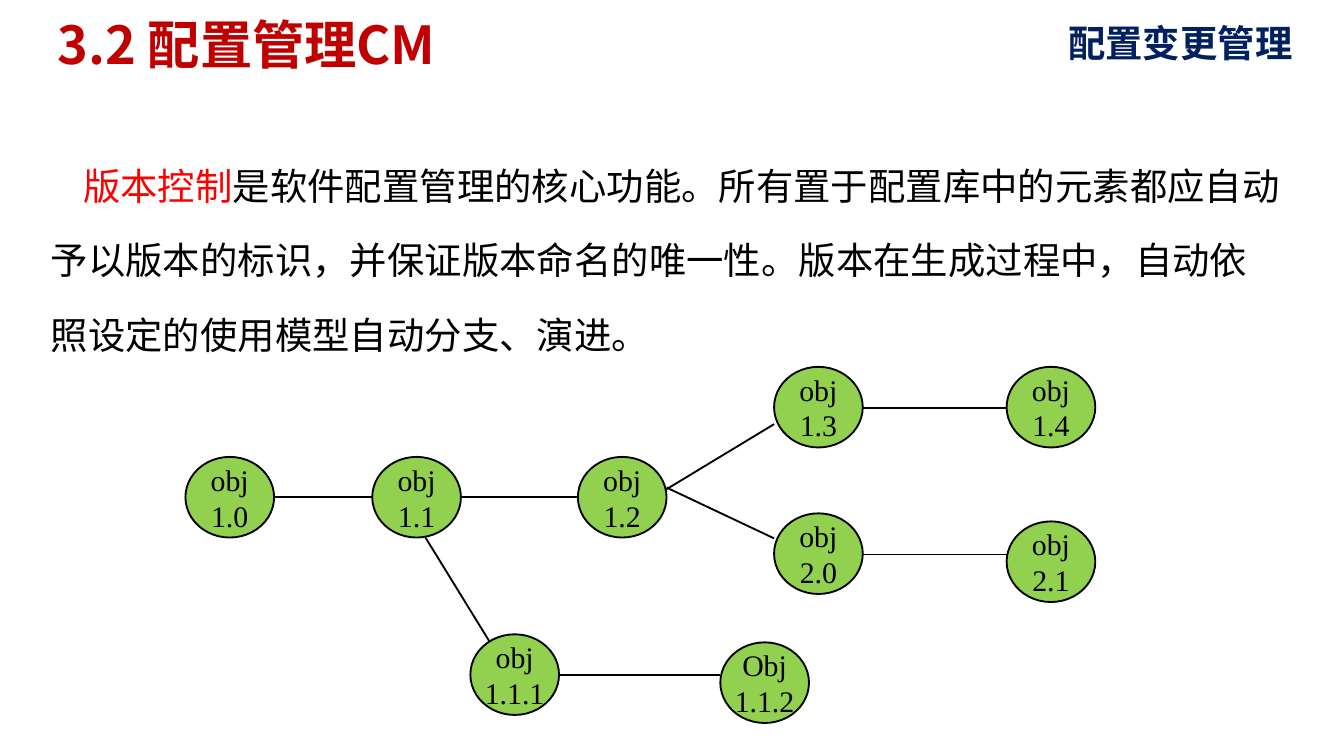
"""Build the version control slide with its object evolution tree."""
from lxml import etree
from pptx import Presentation
from pptx.dml.color import RGBColor
from pptx.enum.shapes import MSO_CONNECTOR, MSO_SHAPE
from pptx.enum.text import MSO_ANCHOR, PP_ALIGN
from pptx.oxml.ns import qn
from pptx.util import Inches, Pt

ELLIPSE, RECTANGLE = MSO_SHAPE.OVAL, MSO_SHAPE.RECTANGLE
STRAIGHT = MSO_CONNECTOR.STRAIGHT
CENTER, LEFT = PP_ALIGN.CENTER, PP_ALIGN.LEFT
MIDDLE, TOP = MSO_ANCHOR.MIDDLE, MSO_ANCHOR.TOP
SANS, SERIF = "Noto Sans CJK SC", "Times New Roman"
BLACK, WHITE, GREEN = "000000", "FFFFFF", "92D050"
CRIMSON, NAVY, RED = "C00000", "002060", "FF0000"

SLIDE_W = Inches(10)
SLIDE_H = SLIDE_W * 9 // 16

TITLE = "3.2 配置管理CM"
TOPIC = "配置变更管理"
EXPLANATION = [
    ("版本控制", RED),
    ("是软件配置管理的核心功能。所有置于配置库中的元素都应自动予以版本的标识，"
     "并保证版本命名的唯一性。版本在生成过程中，自动依照设定的使用模型自动分支、演进。", BLACK),
]

NODE_W, NODE_H = 0.66, 0.6
TRUNK_Y, UPPER_Y, LOWER_Y, BRANCH_Y = 3.4, 2.73, 3.82, 4.72
FORK_X, TIP_X, DROP = 5.76, 7.49, 0.06
VERSIONS = {
    "1.0": ("obj", 1.38, TRUNK_Y),
    "1.1": ("obj", 2.77, TRUNK_Y),
    "1.2": ("obj", 4.3, TRUNK_Y),
    "1.3": ("obj", FORK_X, UPPER_Y),
    "1.4": ("obj", TIP_X, UPPER_Y),
    "2.0": ("obj", FORK_X, LOWER_Y),
    "2.1": ("obj", TIP_X, LOWER_Y + DROP),
    "1.1.1": ("obj", 3.5, BRANCH_Y),
    "1.1.2": ("Obj", 5.36, BRANCH_Y + DROP),
}
EVOLUTION = [
    ("1.0", (1, 0.5), "1.1", (0, 0.5)),
    ("1.1", (1, 0.5), "1.2", (0, 0.5)),
    ("1.2", (1, 0.4), "1.3", (0, 0.71)),
    ("1.3", (1, 0.51), "1.4", (0, 0.51)),
    ("1.2", (1, 0.38), "2.0", (0, 0.31)),
    ("2.0", (1, 0.51), "2.1", (0, 0.41)),
    ("1.1", (0.6, 1), "1.1.1", (0.21, 0.08)),
    ("1.1.1", (1, 0.5), "1.1.2", (0, 0.4)),
]


def rgb(color):
    return RGBColor.from_string(color)


def write(shape, paragraphs, size, font=SANS, bold=False, align=LEFT,
          anchor=TOP, wrap=True, spacing=None, indent=0):
    frame = shape.text_frame
    frame.word_wrap, frame.vertical_anchor = wrap, anchor
    for index, runs in enumerate(paragraphs):
        paragraph = frame.add_paragraph() if index else frame.paragraphs[0]
        paragraph.alignment = align
        if spacing:
            paragraph.line_spacing = Pt(spacing)
        if indent:
            paragraph._p.get_or_add_pPr().set("indent", str(Inches(indent)))
        for text, color in runs:
            run = paragraph.add_run()
            run.text = text
            run.font.size, run.font.bold, run.font.name = Pt(size), bold, font
            run.font.color.rgb = rgb(color)
            east_asian = etree.SubElement(run._r.get_or_add_rPr(), qn("a:ea"))
            east_asian.set("typeface", font)


def add_block(slide, kind, box, fill, line=None):
    block = slide.shapes.add_shape(kind, *map(Inches, box))
    block.shadow.inherit = False
    block.fill.solid()
    block.fill.fore_color.rgb = rgb(fill)
    if line:
        block.line.color.rgb, block.line.width = rgb(line), Pt(1)
    else:
        block.line.fill.background()
    return block


def port(version, share):
    _, left, top = VERSIONS[version]
    return Inches(left + share[0] * NODE_W), Inches(top + share[1] * NODE_H)


def main():
    deck = Presentation()
    deck.slide_width, deck.slide_height = SLIDE_W, SLIDE_H
    slide = deck.slides.add_slide(deck.slide_layouts[6])

    title = add_block(slide, RECTANGLE, (0.33, 0.04, 6.93, 0.57), WHITE)
    write(title, [[(TITLE, CRIMSON)]], 28, bold=True)
    topic = slide.shapes.add_textbox(*map(Inches, (7.85, 0.1, 1.87, 0.44)))
    write(topic, [[(TOPIC, NAVY)]], 20, bold=True, wrap=False)
    explanation = slide.shapes.add_textbox(*map(Inches, (0.28, 0.94, 9.37, 1.77)))
    write(explanation, [EXPLANATION], 20, spacing=40, indent=0.24)

    for version, (label, left, top) in VERSIONS.items():
        node = add_block(slide, ELLIPSE, (left, top, NODE_W, NODE_H), GREEN, BLACK)
        write(node, [[(label, BLACK)], [(version, BLACK)]], 16, font=SERIF,
              align=CENTER, anchor=MIDDLE, wrap=False)

    for parent, start, child, end in EVOLUTION:
        link = slide.shapes.add_connector(STRAIGHT, *port(parent, start), *port(child, end))
        link.line.color.rgb, link.line.width = rgb(BLACK), Pt(1)
        etree.SubElement(link._element.spPr, qn("a:effectLst"))

    deck.save("out.pptx")


if __name__ == "__main__":
    main()
